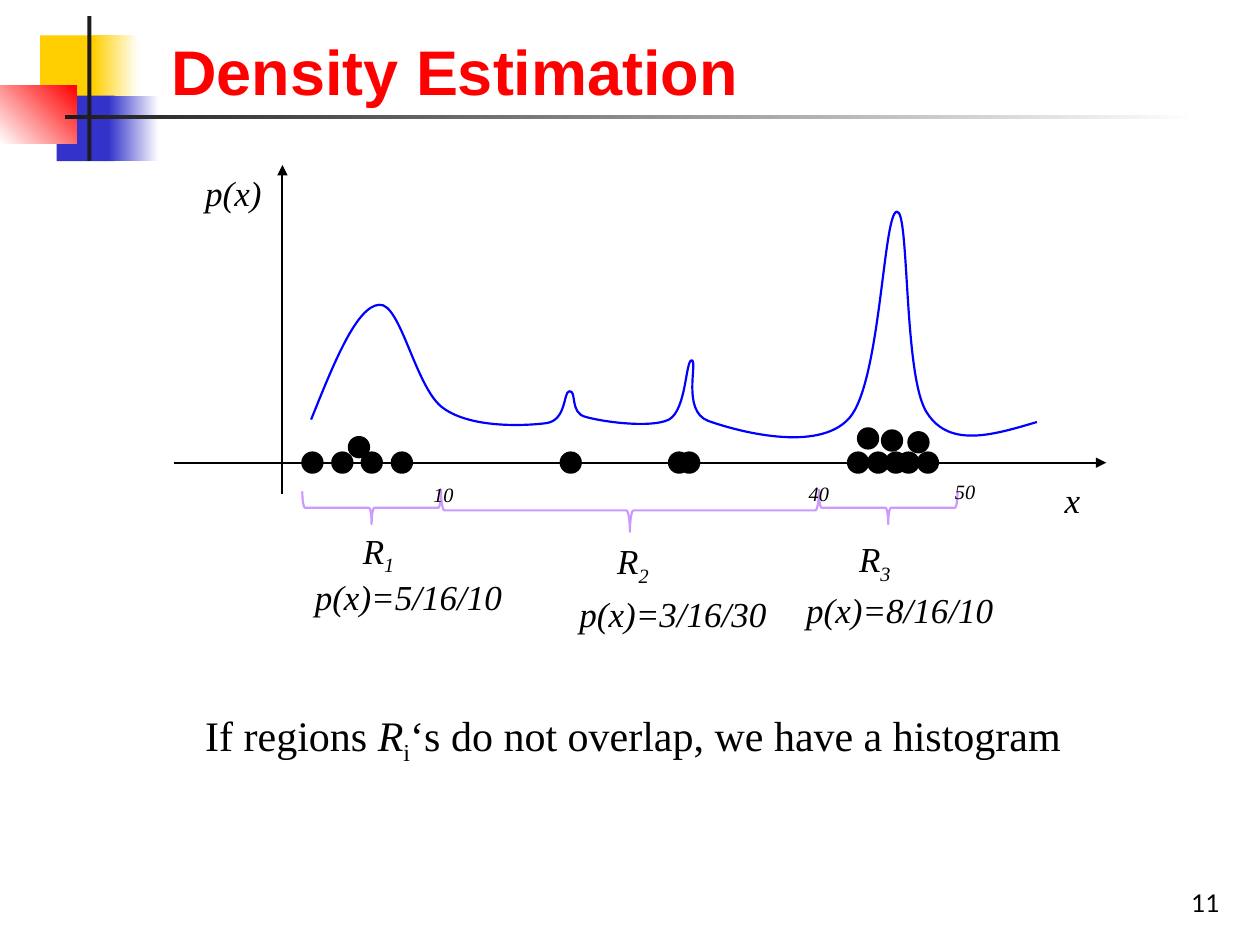
from lxml import etree
from pptx import Presentation
from pptx.dml.color import RGBColor
from pptx.enum.shapes import MSO_CONNECTOR, MSO_SHAPE
from pptx.enum.text import MSO_ANCHOR, PP_ALIGN
from pptx.oxml.ns import qn
from pptx.util import Pt

RECT, OVAL, BRACE = MSO_SHAPE.RECTANGLE, MSO_SHAPE.OVAL, MSO_SHAPE.LEFT_BRACE
STRAIGHT = MSO_CONNECTOR.STRAIGHT
TOP, BOTTOM = MSO_ANCHOR.TOP, MSO_ANCHOR.BOTTOM
LEFT, RIGHT = PP_ALIGN.LEFT, PP_ALIGN.RIGHT

BLACK, BLUE, LILAC = "000000", "0000FF", "CC99FF"
LINE_WIDTH = 1.25
DOT = 11.5

DECOR = [
    ((23, 20.2, 34.6, 37.4), ["FFCF01"], 0),
    ((53.3, 20.2, 25.9, 37.4), ["FFCF01", "FFFFFF"], 0),
    ((32.4, 54.7, 33.1, 37.4), ["3333CC"], 0),
    ((61.9, 54.7, 28.8, 37.4), ["3333CC", "FFFFFF"], 0),
    ((0, 49, 44, 33.1), ["FFFFFF", "FF0000"], 45),
    ((49.9, 9.2, 2.4, 82.8), ["1C1C1C"], 0),
    ((37, 65.7, 648, 2.4), ["1C1C1C", "FFFFFF"], 0),
]

AXES = [((99.4, 264.4), (632.2, 264.4)), ((161.4, 282.2), (161.4, 94.3))]

CURVE_START = (177.8, 239.8)
CURVE = [
    ((190.8, 207.4), (203.8, 175), (216.7, 174.2)),
    ((229, 172.8), (237.6, 222.5), (253.4, 233.3)),
    ((269.3, 244.8), (299.5, 243.4), (311.8, 241.9)),
    ((324, 240.5), (321.8, 223.9), (325.4, 223.6)),
    ((329.8, 223.2), (325.4, 236.2), (334.8, 238.3)),
    ((344.9, 241.2), (372.2, 244.8), (382.3, 239.8)),
    ((392.4, 234), (391.7, 205.9), (395.3, 205.9)),
    ((398.9, 206.6), (389.5, 234.7), (404.6, 240.5)),
    ((420.5, 246.2), (467.3, 259.2), (485.3, 239)),
    ((503.3, 218.9), (504.7, 121), (512.6, 121)),
    ((519.8, 120.2), (516.2, 216.7), (529.9, 236.2)),
    ((542.9, 256.3), (568.1, 248.4), (592.6, 241.2)),
]

AXIS_DOTS = [172.8, 189.9, 206.7, 223.9, 320.4, 382.3, 388.1,
             484.6, 496.1, 506.2, 513.4, 524.5]
RAISED_DOTS = [(199.4, 249.8), (490.3, 244.8), (504, 246), (519.1, 247)]

REGIONS = [(172.8, 252, 280.8, 18.7), (252, 468, 279.4, 24.5), (468, 547.2, 280.8, 18.7)]

MATH = {"name": "Times New Roman", "size": Pt(20), "italic": True}
BODY = {"name": "Times New Roman", "size": Pt(24)}
TITLE = {"name": "Arial", "size": Pt(36), "bold": True}
NUMBER = {"name": "Lato", "size": Pt(14)}
PLAIN, SLANTED, SUB = "plain", "slanted", "sub"

LABELS = [
    ((601.2, 270, 39.6, 31.7), [("x", PLAIN)]),
    ((110.2, 94.3, 47.5, 31.7), [("p(x)", PLAIN)]),
    ((200.2, 298.8, 39.6, 34.6), [("R", PLAIN), ("1", SUB)]),
    ((345.6, 304.6, 39.6, 34.6), [("R", PLAIN), ("2", SUB)]),
    ((483.8, 303.8, 39.6, 34.6), [("R", PLAIN), ("3", SUB)]),
    ((172.8, 325.4, 147.6, 31.7), [("p(x)=5/16/10", PLAIN)]),
    ((324, 334.8, 130.3, 31.7), [("p(x)=3/16/30", PLAIN)]),
    ((453.6, 332.6, 121.7, 31.7), [("p(x)=8/16/10", PLAIN)]),
    ((240.5, 258.5, 37.4, 34.6), [("10", SUB)]),
    ((455, 257.8, 37.4, 34.6), [("40", SUB)]),
    ((538.6, 257, 37.4, 34.6), [("50", SUB)]),
]
STATEMENT = [("If regions ", PLAIN), ("R", SLANTED), ("i", SUB),
             ("‘s do not overlap, we have a histogram", PLAIN)]


def rgb(color):
    return RGBColor.from_string(color)


def set_line(obj, color):
    obj.line.color.rgb = rgb(color)
    obj.line.width = Pt(LINE_WIDTH)


def add_shape(s, kind, box):
    sp = s.shapes.add_shape(kind, *map(Pt, box))
    sp.shadow.inherit = False
    return sp


def add_decor(s, box, colors, angle):
    sp = add_shape(s, RECT, box)
    sp.line.fill.background()
    if len(colors) == 1:
        sp.fill.solid()
        sp.fill.fore_color.rgb = rgb(colors[0])
        return
    sp.fill.gradient()
    sp.fill.gradient_angle = angle
    for stop, color in zip(sp.fill.gradient_stops, colors):
        stop.color.rgb = rgb(color)


def add_axis(s, start, end):
    cx = s.shapes.add_connector(STRAIGHT, *map(Pt, start + end))
    set_line(cx, BLACK)
    etree.SubElement(cx.line._get_or_add_ln(), qn("a:tailEnd"), type="triangle")
    etree.SubElement(cx._element.spPr, qn("a:effectLst"))


def add_curve(s, start, segments):
    points = [tuple(map(Pt, point)) for segment in segments for point in segment]
    builder = s.shapes.build_freeform(*map(Pt, start))
    builder.add_line_segments(points, close=False)
    sp = builder.convert_to_shape()
    sp.shadow.inherit = False
    sp.fill.background()
    set_line(sp, BLUE)
    lines = list(sp._element.iter(qn("a:lnTo")))
    for i in range(0, len(lines), 3):
        bezier = etree.Element(qn("a:cubicBezTo"))
        lines[i].addprevious(bezier)
        for line in lines[i:i + 3]:
            bezier.append(line[0])
            line.getparent().remove(line)


def add_dot(s, left, top):
    sp = add_shape(s, OVAL, (left, top, DOT, DOT))
    sp.fill.solid()
    sp.fill.fore_color.rgb = rgb(BLACK)
    set_line(sp, BLACK)


def add_brace(s, start, end, top, depth):
    length = end - start
    left = (start + end - depth) / 2
    sp = add_shape(s, BRACE, (left, top + (depth - length) / 2, depth, length))
    sp.rotation = 270
    sp.fill.background()
    set_line(sp, LILAC)


def add_text(s, box, runs, font, color=BLACK, anchor=TOP, align=LEFT, right=0):
    tf = s.shapes.add_textbox(*map(Pt, box)).text_frame
    tf.word_wrap = True
    tf.margin_right = Pt(right)
    tf.vertical_anchor = anchor
    p = tf.paragraphs[0]
    p.alignment = align
    for text, style in runs:
        r = p.add_run()
        r.text = text
        for name, value in font.items():
            setattr(r.font, name, value)
        r.font.color.rgb = rgb(color)
        if style == SLANTED:
            r.font.italic = True
        if style == SUB:
            r.font._element.set("baseline", "-25000")


def main():
    prs = Presentation()
    prs.slide_width, prs.slide_height = Pt(720), Pt(540)
    s = prs.slides.add_slide(prs.slide_layouts[6])
    for item in DECOR:
        add_decor(s, *item)
    add_text(s, (554.4, 491.8, 149.8, 36), [("11", PLAIN)], NUMBER,
             anchor=BOTTOM, align=RIGHT, right=7.2)
    add_text(s, (90.7, 28.1, 613.4, 37.4), [("Density Estimation", PLAIN)], TITLE,
             color="FF0000", anchor=BOTTOM)
    for axis in AXES:
        add_axis(s, *axis)
    add_curve(s, CURVE_START, CURVE)
    for left, top in [(x, 258.6) for x in AXIS_DOTS] + RAISED_DOTS:
        add_dot(s, left, top)
    for region in REGIONS:
        add_brace(s, *region)
    for box, runs in LABELS:
        add_text(s, box, runs, MATH)
    add_text(s, (110.2, 401.8, 554.4, 69.1), STATEMENT, BODY)
    prs.save("out.pptx")


if __name__ == "__main__":
    main()
